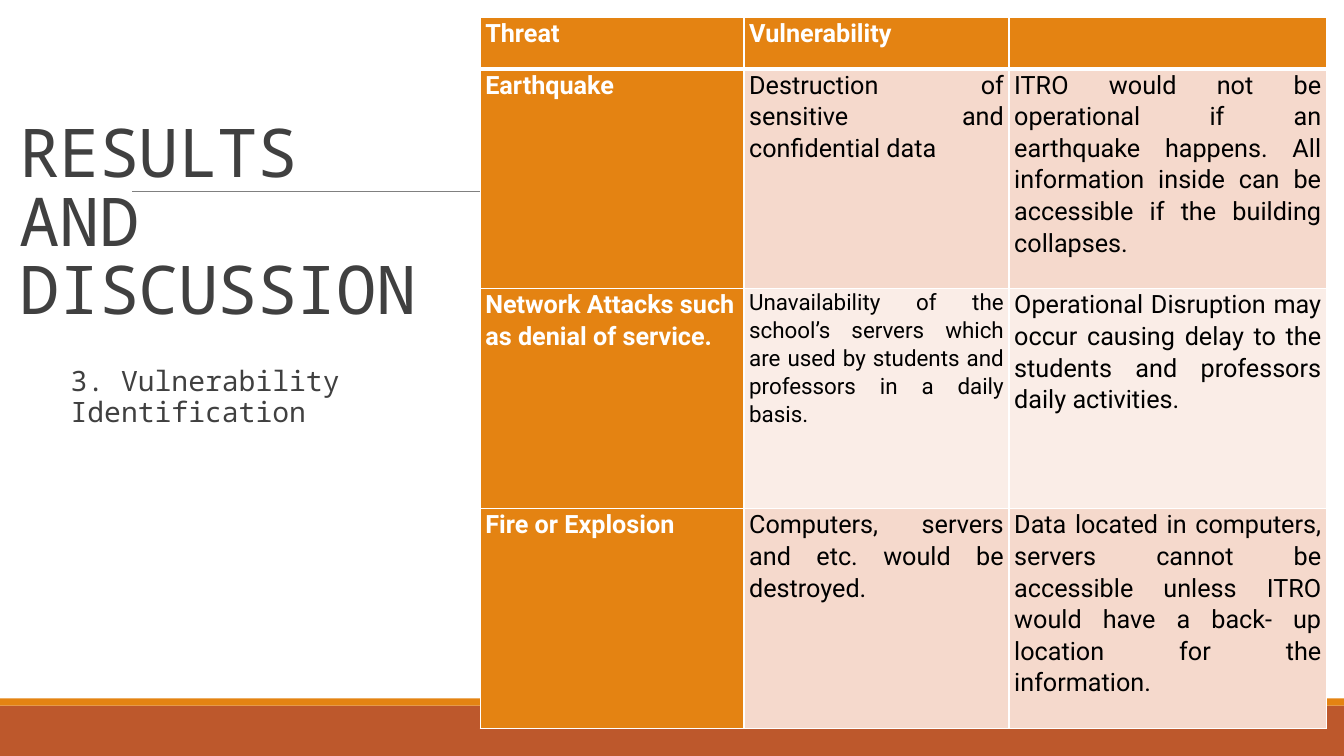
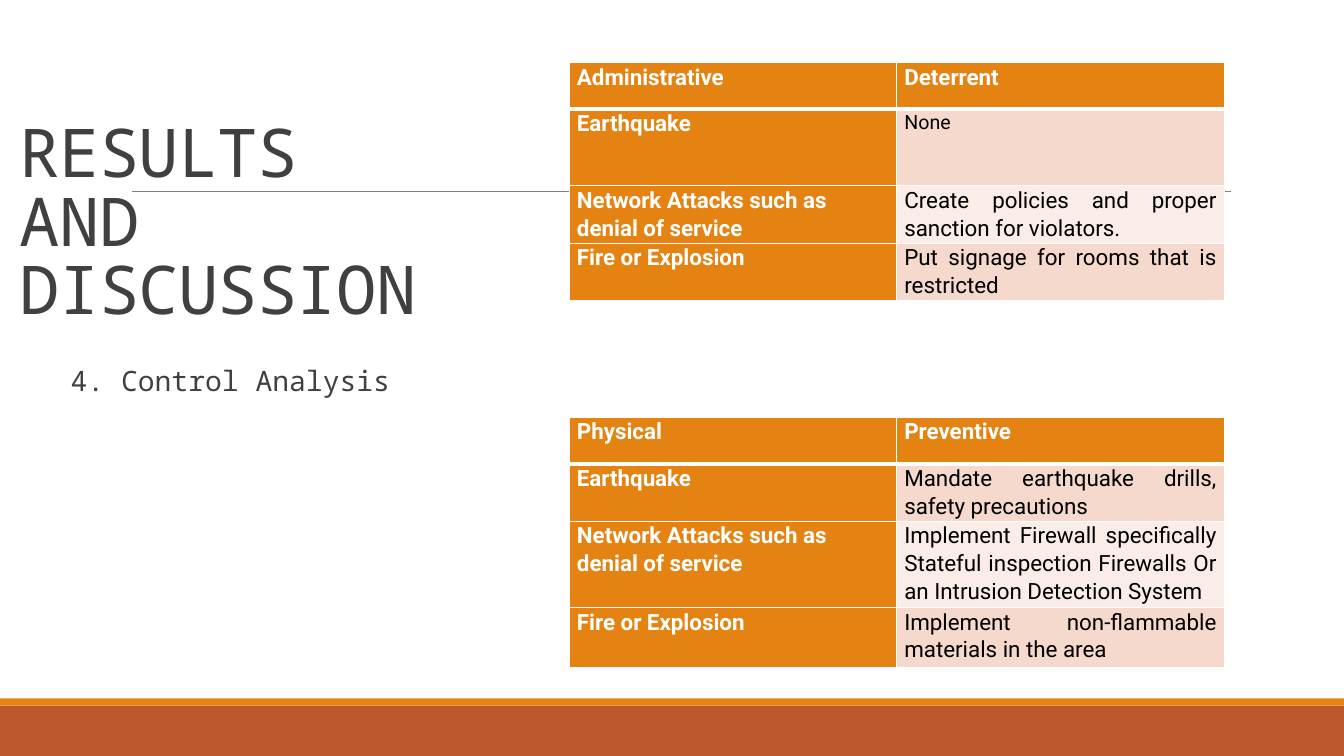
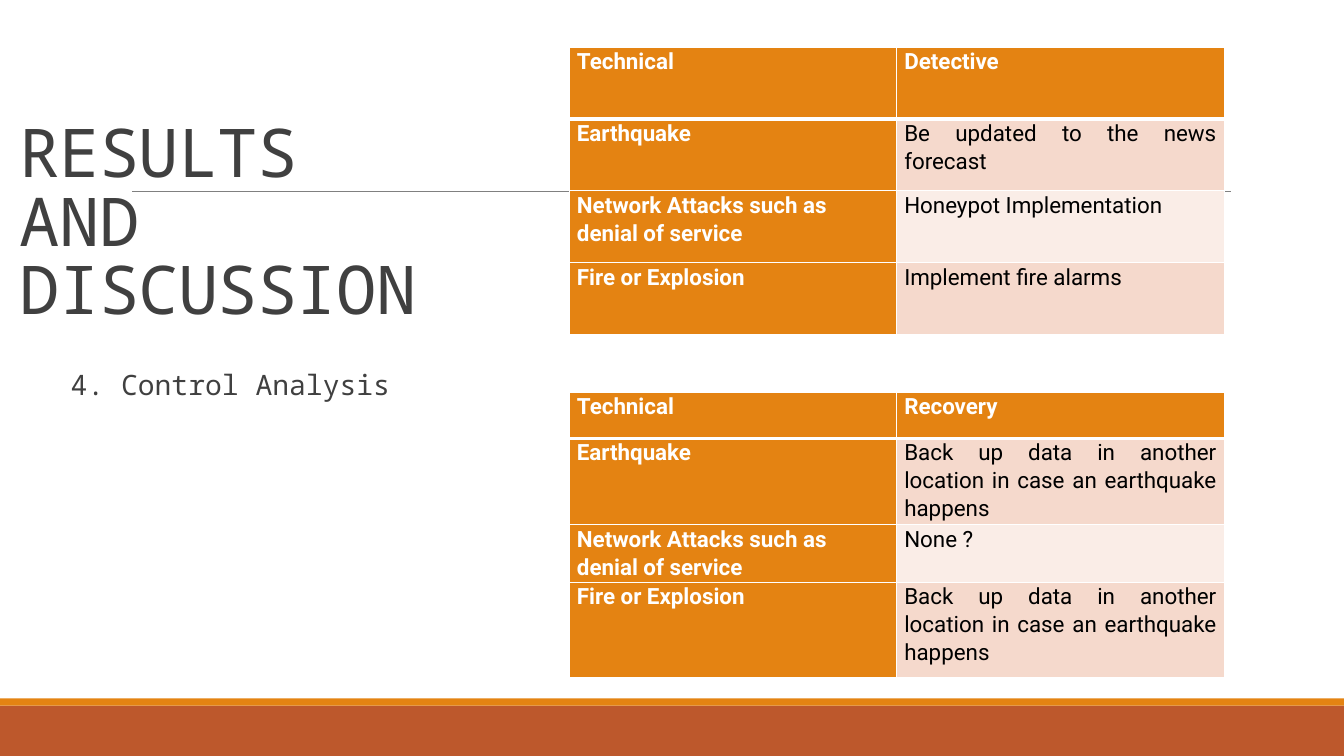
"""Builds three risk assessment slides: vulnerability identification and control analysis."""
from dataclasses import dataclass

from lxml.etree import SubElement
from pptx import Presentation
from pptx.dml.color import RGBColor
from pptx.enum.shapes import MSO_CONNECTOR as Connector, MSO_SHAPE as Preset
from pptx.enum.text import MSO_ANCHOR as Anchor, MSO_AUTO_SIZE as AutoSize, PP_ALIGN as Align
from pptx.oxml.ns import qn
from pptx.slide import Slide, SlideLayout
from pptx.table import _Cell as Cell
from pptx.text.text import _Paragraph as Paragraph
from pptx.util import Cm, Pt


@dataclass(frozen=True)
class Theme:
    """Colours, fonts and type sizes of the deck."""
    orange: str = "E48312"
    rust: str = "BD582C"
    rule: str = "808080"
    heading: str = "404040"
    white: str = "FFFFFF"
    black: str = "000000"
    bands: tuple[str, str] = ("FAEDE7", "F5D9CC")
    heading_font: str = "Noto Sans Mono"
    table_font: str = "Roboto"
    title_size: float = 48
    subtitle_size: float = 20
    large: float = 18
    medium: float = 16
    small: float = 14


THEME = Theme()
SLIDE_WIDTH, SLIDE_HEIGHT = 33.87, 19.05
TITLE = "RESULTS AND DISCUSSION"
THREATS = ("Earthquake", "Network Attacks such as denial of service", "Fire or Explosion")


@dataclass(frozen=True)
class Band:
    """A full-width stripe at the foot of the slide."""
    top: float
    height: float
    colour: str


@dataclass(frozen=True)
class Grid:
    """A table with lengths in centimetres and text sizes by exception."""
    left: float
    top: float
    columns: tuple[float, ...]
    rows: tuple[float, ...]
    texts: tuple[tuple[str, ...], ...]
    size: float
    inset: float
    sizes: tuple[tuple[str, float], ...] = ()


@dataclass(frozen=True)
class Page:
    """A slide: its subtitle and its tables."""
    subtitle: str
    subtitle_top: float
    grids: tuple[Grid, ...]


def control_grid(top: float, rows: tuple[float, ...], kind: str, control: str,
                 measures: tuple[str, str, str],
                 sizes: tuple[tuple[str, float], ...] = ()) -> Grid:
    """Describe a two-column table of the control measure for each threat."""
    texts = ((kind, control), *zip(THREATS, measures))
    return Grid(14.35, top, (8.25, 8.25), rows, texts, THEME.medium, 0.19, sizes)


BANDS = (Band(17.78, 1.27, THEME.rust), Band(17.6, 0.18, THEME.orange))
BACK_UP = "Back up data in another location in case an earthquake happens"
UNAVAILABILITY = ("Unavailability of the school’s servers which are used by students "
                  "and professors in a daily basis.")
VULNERABILITIES = Grid(
    12.1, 0.43, (6.65, 6.68, 8), (1.3, 5.54, 5.54, 5.54),
    (("Threat", "Vulnerability", ""),
     (THREATS[0], "Destruction of sensitive and confidential data",
      "ITRO would not be operational if an earthquake happens. All information inside "
      "can be accessible if the building collapses."),
     (THREATS[1] + ".", UNAVAILABILITY,
      "Operational Disruption may occur causing delay to the students and professors "
      "daily activities."),
     (THREATS[2], "Computers, servers and etc. would be destroyed.",
      "Data located in computers, servers cannot be accessible unless ITRO would have "
      "a back- up location for the information.")),
    THEME.large, 0.13, ((UNAVAILABILITY, THEME.medium),))

PAGES = (
    Page("3. Vulnerability Identification", 9.14, (VULNERABILITIES,)),
    Page("4. Control Analysis", 9.14, (
        control_grid(1.58, (1.17, 1.93, 1.42, 1.17), "Administrative", "Deterrent",
                     ("None", "Create policies and proper sanction for violators.",
                      "Put signage for rooms that is restricted"),
                     (("None", THEME.small),)),
        control_grid(10.52, (1.17, 1.17, 1.17, 1.52), "Physical", "Preventive",
                     ("Mandate earthquake drills, safety precautions",
                      "Implement Firewall specifically Stateful inspection Firewalls "
                      "Or an Intrusion Detection System",
                      "Implement non-flammable materials in the area")))),
    Page("4. Control Analysis", 9.22, (
        control_grid(9.88, (1.17, 1.17, 1.17, 2.39), "Technical", "Recovery",
                     (BACK_UP, "None ?", BACK_UP)),
        control_grid(1.19, (1.81,) * 4, "Technical", "Detective",
                     ("Be updated to the news forecast", "Honeypot Implementation",
                      "Implement fire alarms")))),
)


def rgb(colour: str) -> RGBColor:
    """Turn a hex string into a colour."""
    return RGBColor.from_string(colour)


def write_run(paragraph: Paragraph, text: str, font: str, size: float, colour: str,
              bold: bool = False, spacing: int = 0) -> None:
    """Add one formatted run, with letter spacing in hundredths of a point."""
    run = paragraph.add_run()
    run.text = text
    run.font.name = font
    run.font.size = Pt(size)
    run.font.bold = bold
    run.font.color.rgb = rgb(colour)
    if spacing:
        run.font._element.set("spc", str(spacing))


def furnish_layout(layout: SlideLayout, slide: Slide) -> None:
    """Draw the bands and the rule, and move them from the slide to its layout."""
    shared = []
    for band in BANDS:
        shape = slide.shapes.add_shape(Preset.RECTANGLE, Cm(0), Cm(band.top),
                                       Cm(SLIDE_WIDTH), Cm(band.height))
        shape.shadow.inherit = False
        shape.fill.solid()
        shape.fill.fore_color.rgb = rgb(band.colour)
        shape.line.fill.background()
        shared.append(shape)
    rule = slide.shapes.add_connector(Connector.STRAIGHT, Cm(3.33), Cm(4.83), Cm(31.01), Cm(4.83))
    rule.line.color.rgb = rgb(THEME.rule)
    rule.line.width = Pt(0.5)
    SubElement(rule.element.spPr, qn("a:effectLst"))
    for shape in (*shared, rule):
        layout.shapes.element.append(shape.element)


def add_title(slide: Slide) -> None:
    """Place and fill the title placeholder."""
    title = slide.shapes.title
    title.left, title.top, title.width, title.height = Cm(0.25), Cm(0.6), Cm(11.45), Cm(7.8)
    frame = title.text_frame
    frame.auto_size = AutoSize.NONE
    frame.word_wrap = True
    frame.vertical_anchor = Anchor.BOTTOM
    paragraph = frame.paragraphs[0]
    paragraph.alignment = Align.LEFT
    paragraph.line_spacing = 0.85
    write_run(paragraph, TITLE, THEME.heading_font, THEME.title_size, THEME.heading, spacing=-50)


def add_subtitle(slide: Slide, text: str, top: float) -> None:
    """Write the topic under the title."""
    frame = slide.shapes.add_textbox(Cm(1.78), Cm(top), Cm(8.41), Cm(4.32)).text_frame
    frame.word_wrap = True
    frame.margin_left = frame.margin_right = Cm(0)
    paragraph = frame.paragraphs[0]
    paragraph.line_spacing = 0.9
    paragraph.space_before, paragraph.space_after = Pt(12), Pt(2)
    write_run(paragraph, text, THEME.heading_font, THEME.subtitle_size, THEME.heading)


def set_borders(cell: Cell, row: int) -> None:
    """Draw white borders, thick between the header and the body."""
    properties = cell._tc.get_or_add_tcPr()
    thick = {0: "lnB", 1: "lnT"}.get(row)
    for side in ("lnL", "lnR", "lnT", "lnB"):
        width = Pt(3 if side == thick else 1)
        line = SubElement(properties, qn(f"a:{side}"), w=str(width))
        fill = SubElement(line, qn("a:solidFill"))
        SubElement(fill, qn("a:srgbClr"), val=THEME.white)


def fill_cell(cell: Cell, grid: Grid, row: int, column: int) -> None:
    """Format one cell as a label or as body text, and write it."""
    text = grid.texts[row][column]
    is_label = row == 0 or column == 0
    set_borders(cell, row)
    cell.fill.solid()
    cell.fill.fore_color.rgb = rgb(THEME.orange if is_label else THEME.bands[row % 2])
    cell.margin_left = cell.margin_right = Cm(grid.inset)
    cell.margin_top = cell.margin_bottom = Cm(0)
    paragraph = cell.text_frame.paragraphs[0]
    paragraph.alignment = Align.LEFT if is_label else Align.JUSTIFY
    paragraph.line_spacing = 1.07
    paragraph.space_after = Pt(8)
    if text:
        write_run(paragraph, text, THEME.table_font, dict(grid.sizes).get(text, grid.size),
                  THEME.white if is_label else THEME.black, bold=is_label)


def add_grid(slide: Slide, grid: Grid) -> None:
    """Add one table."""
    table = slide.shapes.add_table(len(grid.rows), len(grid.columns), Cm(grid.left), Cm(grid.top),
                                   Cm(sum(grid.columns)), Cm(sum(grid.rows))).table
    for column, width in enumerate(grid.columns):
        table.columns[column].width = Cm(width)
    for row, height in enumerate(grid.rows):
        table.rows[row].height = Cm(height)
        for column in range(len(grid.columns)):
            fill_cell(table.cell(row, column), grid, row, column)


def main() -> None:
    """Build and save the presentation."""
    presentation = Presentation()
    presentation.slide_width, presentation.slide_height = Cm(SLIDE_WIDTH), Cm(SLIDE_HEIGHT)
    layout = presentation.slide_layouts.get_by_name("Title Only")
    slides = [presentation.slides.add_slide(layout) for _ in PAGES]
    furnish_layout(layout, slides[0])
    for slide, page in zip(slides, PAGES):
        add_title(slide)
        add_subtitle(slide, page.subtitle, page.subtitle_top)
        for grid in page.grids:
            add_grid(slide, grid)
    presentation.save("out.pptx")


if __name__ == "__main__":
    main()
